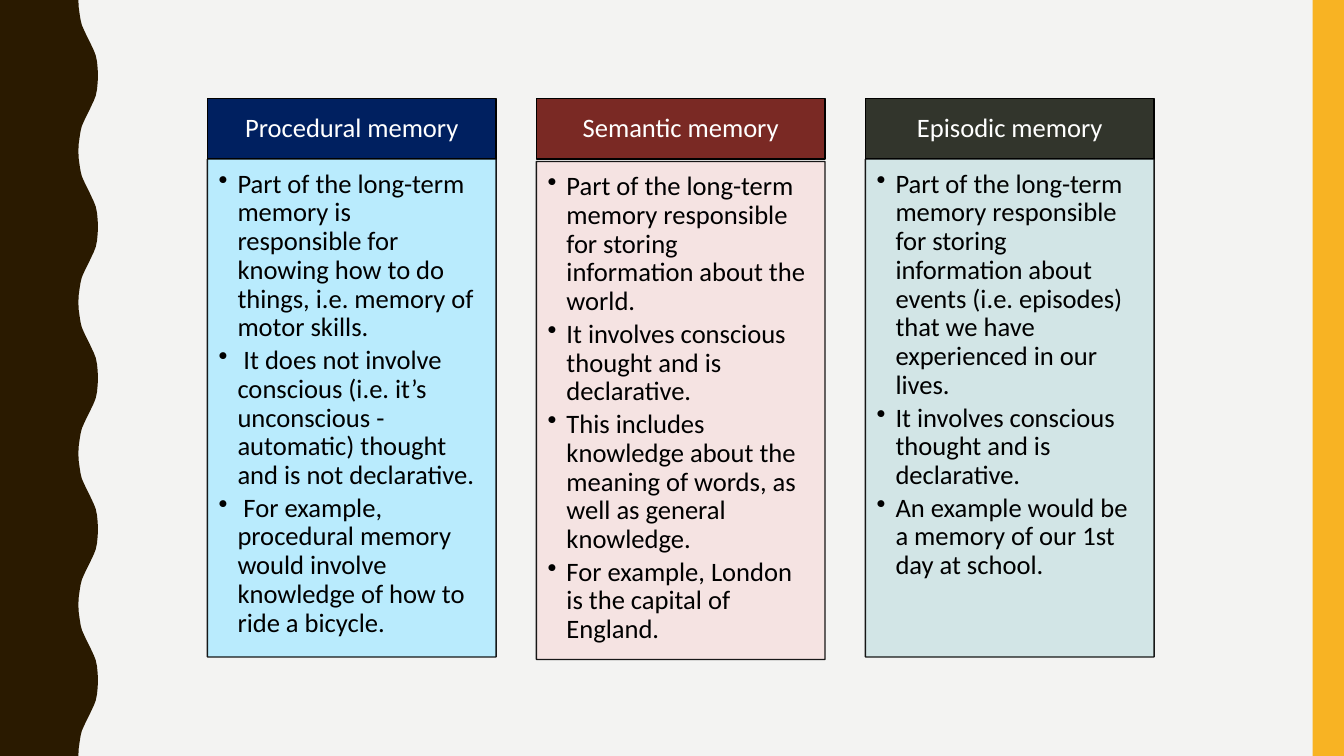
from lxml import etree
from pptx import Presentation
from pptx.dml.color import RGBColor
from pptx.enum import shapes, text
from pptx.oxml import ns
from pptx.util import Pt

# Content: heading, heading fill, body fill, body offset, bullets
COLUMNS = [
    ("Procedural memory", "002060", "B3EBFF", 0, [
        "Part of the long-term memory is responsible for knowing how to do things, "
        "i.e. memory of motor skills.",
        " It does not involve conscious (i.e. it’s unconscious - automatic) thought "
        "and is not declarative.",
        " For example, procedural memory would involve knowledge of how to ride a bicycle.",
    ]),
    ("Semantic memory", "7A2924", "F6E2E1", 1.8, [
        "Part of the long-term memory responsible for storing information about the world.",
        "It involves conscious thought and is declarative.",
        "This includes knowledge about the meaning of words, as well as general knowledge.",
        "For example, London is the capital of England.",
    ]),
    ("Episodic memory", "32352C", "CFE4E5", 0, [
        "Part of the long-term memory responsible for storing information about events "
        "(i.e. episodes) that we have experienced in our lives.",
        "It involves conscious thought and is declarative.",
        "An example would be a memory of our 1st day at school.",
    ]),
]

THEME = {
    "background": "F3F3F2", "wave": "2A1A00", "stripe": "F8B323",
    "outline": "000000", "heading": "FFFFFF", "body": "000000",
    "font": "Calibri", "size": 19, "body_opacity": 90,
}

# Layout, in points
SLIDE_WIDTH, SLIDE_HEIGHT = 960, 540
STRIPE_WIDTH = 22.4
COLUMN_LEFT, COLUMN_PITCH, COLUMN_WIDTH = 148.2, 235, 206.2
HEADING_TOP, HEADING_HEIGHT, BODY_HEIGHT = 70.4, 43.2, 355.7
HEADING_INSETS, BODY_INSETS = (10.8, 6, 10.8, 6), (8, 8, 10.8, 12)
BULLET_INDENT = 13.5
WAVE_PERIOD = 108
HALF_WAVE = [(56, 0), (56.2, 5), (56.9, 10), (57.6, 14.4), (58.5, 18), (59.8, 21),
             (61.2, 24), (62.7, 27), (64.2, 30), (65.6, 33), (67, 36), (68.4, 39.6),
             (69.3, 44), (69.8, 49), (70, 54)]


def set_fill(fill, color):
    fill.solid()
    fill.fore_color.rgb = RGBColor.from_string(color)


def set_opacity(fill_format, percent):
    color = fill_format.find(".//" + ns.qn("a:srgbClr"))
    etree.SubElement(color, ns.qn("a:alpha"), val=str(percent * 1000))


def add_box(slide, left, top, width, height, color, outlined=False):
    shape = slide.shapes.add_shape(shapes.MSO_SHAPE.RECTANGLE,
                                   Pt(left), Pt(top), Pt(width), Pt(height))
    shape.shadow.inherit = False
    set_fill(shape.fill, color)
    if outlined:
        set_fill(shape.line.fill, THEME["outline"])
        shape.line.width = Pt(1)
    else:
        shape.line.fill.background()
    return shape


def write(shape, lines, color, insets, anchor, alignment, space_after, bulleted=False):
    frame = shape.text_frame
    frame.word_wrap = True
    frame.vertical_anchor = anchor
    (frame.margin_left, frame.margin_top,
     frame.margin_right, frame.margin_bottom) = map(Pt, insets)
    frame.text = "\n".join(lines)
    for paragraph in frame.paragraphs:
        paragraph.alignment = alignment
        paragraph.line_spacing = 0.9
        paragraph.space_after = Pt(space_after)
        if bulleted:
            properties = paragraph._p.get_or_add_pPr()
            properties.set("marL", str(Pt(BULLET_INDENT)))
            properties.set("indent", str(-Pt(BULLET_INDENT)))
            etree.SubElement(properties, ns.qn("a:buChar"), char="•")
        for run in paragraph.runs:
            run.font.name = THEME["font"]
            run.font.size = Pt(THEME["size"])
            run.font.color.rgb = RGBColor.from_string(color)


def add_wave(slide):
    full_wave = HALF_WAVE + [(x, WAVE_PERIOD - y) for x, y in HALF_WAVE[-2::-1]]
    edge = [(x, y + start) for start in range(0, SLIDE_HEIGHT, WAVE_PERIOD)
            for x, y in full_wave]
    outline = [(Pt(x), Pt(y)) for x, y in edge + [(0, SLIDE_HEIGHT)]]
    builder = slide.shapes.build_freeform(0, 0)
    builder.add_line_segments(outline, close=True)
    wave = builder.convert_to_shape()
    wave.shadow.inherit = False
    set_fill(wave.fill, THEME["wave"])
    wave.line.fill.background()


def add_column(slide, index, heading, heading_color, body_color, offset, bullets):
    left = COLUMN_LEFT + index * COLUMN_PITCH
    header = add_box(slide, left, HEADING_TOP, COLUMN_WIDTH, HEADING_HEIGHT,
                     heading_color, outlined=True)
    write(header, [heading], THEME["heading"], HEADING_INSETS,
          text.MSO_ANCHOR.MIDDLE, text.PP_ALIGN.CENTER, 0)

    body = add_box(slide, left, HEADING_TOP + HEADING_HEIGHT + offset,
                   COLUMN_WIDTH, BODY_HEIGHT, body_color, outlined=True)
    properties = body._element.spPr
    for tag in ("a:solidFill", "a:ln"):
        set_opacity(properties.find(ns.qn(tag)), THEME["body_opacity"])
    write(body, bullets, THEME["body"], BODY_INSETS,
          text.MSO_ANCHOR.TOP, text.PP_ALIGN.LEFT, 2.85, bulleted=True)


def main():
    presentation = Presentation()
    presentation.slide_width, presentation.slide_height = Pt(SLIDE_WIDTH), Pt(SLIDE_HEIGHT)
    slide = presentation.slides.add_slide(presentation.slide_layouts[6])
    set_fill(slide.background.fill, THEME["background"])

    # Side decoration
    add_wave(slide)
    add_box(slide, SLIDE_WIDTH - STRIPE_WIDTH, 0, STRIPE_WIDTH, SLIDE_HEIGHT, THEME["stripe"])

    # Memory types
    for index, column in enumerate(COLUMNS):
        add_column(slide, index, *column)

    presentation.save("out.pptx")


if __name__ == "__main__":
    main()
